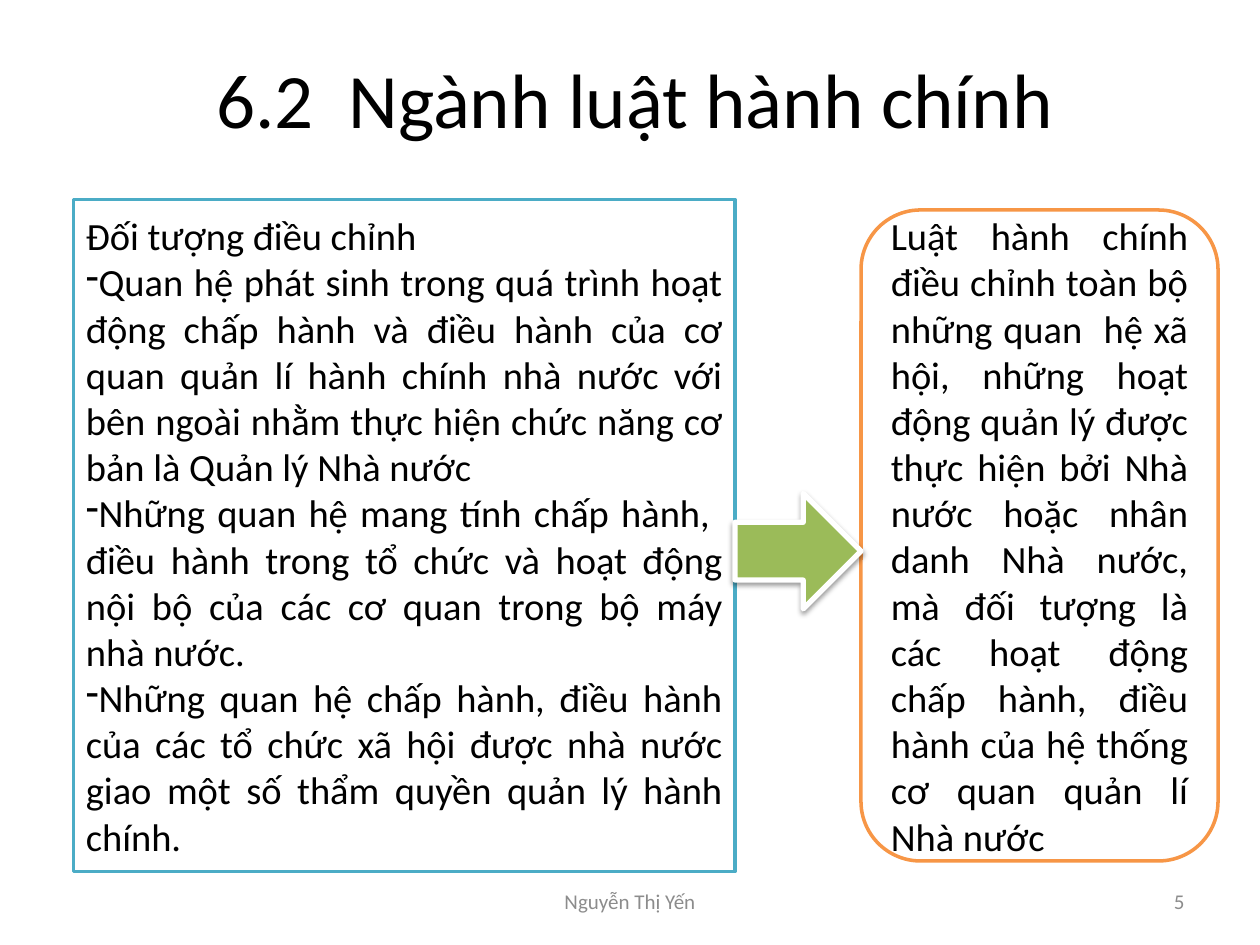
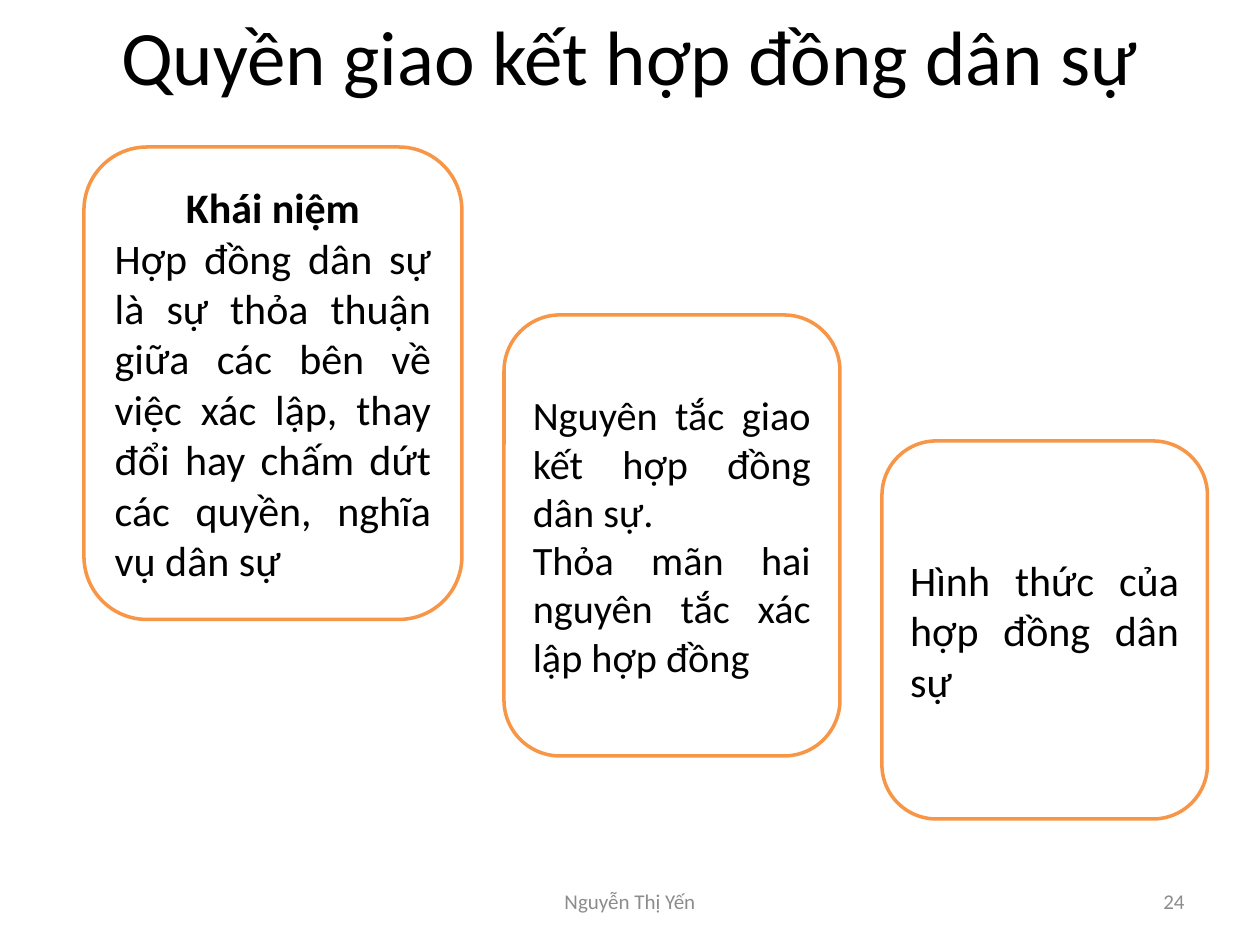
from dataclasses import dataclass

from pptx import Presentation
from pptx.dml.color import RGBColor
from pptx.enum.shapes import MSO_SHAPE
from pptx.enum.text import MSO_ANCHOR, PP_ALIGN
from pptx.oxml.ns import qn
from pptx.util import Inches, Pt
from lxml.etree import SubElement


@dataclass(frozen=True)
class Theme:
    font: str = "Calibri"
    text: str = "000000"
    muted: str = "8C8C8C"
    paper: str = "FFFFFF"
    teal: str = "4BACC6"
    orange: str = "F79646"
    green: str = "9BBB59"
    title_size: int = 44
    large_size: int = 24
    medium_size: int = 23
    body_size: int = 22
    footer_size: int = 12
    border: int = 2
    arrow_border: int = 3


THEME = Theme()
WIDTH, HEIGHT = Inches(10), Inches(7.5)
COLUMNS, ROWS = 120, 90
AUTHOR = "Nguyễn Thị Yến"


def place(left, top, width, height):
    """Turn grid columns and rows into slide lengths."""
    column, row = WIDTH / COLUMNS, HEIGHT / ROWS
    return (round(left * column), round(top * row),
            round(width * column), round(height * row))


def fill_text(box, lines, size, align, color=THEME.text):
    frame = box.text_frame
    frame.word_wrap = True
    frame.vertical_anchor = MSO_ANCHOR.MIDDLE
    frame.text = "\n".join(lines)
    for para in frame.paragraphs:
        para.alignment = align
        for span in para.runs:
            span.font.name = THEME.font
            span.font.size = Pt(size)
            span.font.color.rgb = RGBColor.from_string(color)


def add_label(page, area, text, size, align, color=THEME.text):
    box = page.shapes.add_textbox(*place(*area))
    fill_text(box, [text], size, align, color)


def add_outlined(page, kind, area, fill, line, weight):
    shape = page.shapes.add_shape(kind, *place(*area))
    shape.shadow.inherit = False
    shape.fill.solid()
    shape.fill.fore_color.rgb = RGBColor.from_string(fill)
    shape.line.color.rgb = RGBColor.from_string(line)
    shape.line.width = Pt(weight)
    return shape


def add_panel(page, area, lines, size, kind=MSO_SHAPE.ROUNDED_RECTANGLE, line=THEME.orange):
    panel = add_outlined(page, kind, area, THEME.paper, line, THEME.border)
    fill_text(panel, lines, size, PP_ALIGN.JUSTIFY)
    return panel


def add_dash(para):
    properties = para._p.get_or_add_pPr()
    properties.set("marL", "0")
    properties.set("indent", "0")
    SubElement(properties, qn("a:buFontTx"))
    SubElement(properties, qn("a:buChar"), char="-")


def add_drop_shadow(shape):
    effects = shape._element.spPr.find(qn("a:effectLst"))
    shadow = SubElement(effects, qn("a:outerShdw"), blurRad=str(Pt(3.1)),
                        dist=str(Pt(1.6)), dir="5400000", rotWithShape="0")
    color = SubElement(shadow, qn("a:srgbClr"), val=THEME.text)
    SubElement(color, qn("a:alpha"), val="38000")


def add_page(deck, title, title_area, number):
    """Add a blank page with the shared title style and footer."""
    page = deck.slides.add_slide(deck.slide_layouts[6])
    add_label(page, title_area, title, THEME.title_size, PP_ALIGN.CENTER)
    footer_top, footer_height = 83.4, 4.8
    add_label(page, (41, footer_top, 38, footer_height), AUTHOR,
              THEME.footer_size, PP_ALIGN.CENTER, THEME.muted)
    add_label(page, (86, footer_top, 28, footer_height), str(number),
              THEME.footer_size, PP_ALIGN.RIGHT, THEME.muted)
    return page


def add_subject_and_scope(page, area, subject, scope):
    """Lay out the subject panel, an arrow and the scope panel across the area."""
    left, top, width, height = area
    subject_width, arrow_width, arrow_height = 63, 12, 11
    arrow_left = left + subject_width
    scope_left = arrow_left + arrow_width
    panel = add_panel(page, (left, top, subject_width, height), subject,
                      THEME.body_size, MSO_SHAPE.RECTANGLE, THEME.teal)
    for para in panel.text_frame.paragraphs[1:]:
        add_dash(para)
    add_panel(page, (scope_left, top + 1, left + width - scope_left, height - 2),
              [scope], THEME.body_size)
    arrow = add_outlined(page, MSO_SHAPE.RIGHT_ARROW,
                         (arrow_left, top + 28, arrow_width, arrow_height),
                         THEME.green, THEME.paper, THEME.arrow_border)
    add_drop_shadow(arrow)


def add_staircase(page, left, gap, steps):
    """Place the panels left to right with an equal gap, each on its own row."""
    panels = []
    for top, width, height, size, lines in steps:
        panels.append(add_panel(page, (left, top, width, height), lines, size))
        left += width + gap
    return panels


def add_administrative_law(deck):
    page = add_page(deck, "6.2  Ngành luật hành chính", (6, 3.6, 109, 11.4), 5)
    subject = [
        "Đối tượng điều chỉnh",
        "Quan hệ phát sinh trong quá trình hoạt động chấp hành và điều hành của cơ quan "
        "quản lí hành chính nhà nước với bên ngoài nhằm thực hiện chức năng cơ bản là "
        "Quản lý Nhà nước",
        "Những quan hệ mang tính chấp hành,  điều hành trong tổ chức và hoạt động nội bộ "
        "của các cơ quan trong bộ máy nhà nước.",
        "Những quan hệ chấp hành, điều hành của các tổ chức xã hội được nhà nước giao "
        "một số thẩm quyền quản lý hành chính.",
    ]
    scope = (
        "Luật hành chính điều chỉnh toàn bộ những quan  hệ xã hội, những hoạt động quản lý "
        "được thực hiện bởi Nhà nước hoặc nhân danh Nhà nước, mà đối tượng là các hoạt động "
        "chấp hành, điều hành của hệ thống cơ quan quản lí Nhà nước"
    )
    add_subject_and_scope(page, (7, 19, 109, 64), subject, scope)


def add_civil_contract(deck):
    page = add_page(deck, "Quyền giao kết hợp đồng dân sự", (6, 0, 108, 10.4), 24)
    concept = [
        "Khái niệm",
        "Hợp đồng dân sự là sự thỏa thuận giữa các bên về việc xác lập, thay đổi hay "
        "chấm dứt các quyền, nghĩa vụ dân sự",
    ]
    principles = [
        "Nguyên tắc giao kết hợp đồng dân sự.",
        "Thỏa mãn hai nguyên tắc xác lập hợp đồng",
    ]
    panels = add_staircase(page, 8, 4, [
        (14, 36, 45, THEME.large_size, concept),
        (30, 32, 42, THEME.medium_size, principles),
        (42, 31, 36, THEME.large_size, ["Hình thức của hợp đồng dân sự"]),
    ])
    heading = panels[0].text_frame.paragraphs[0]
    heading.alignment = PP_ALIGN.CENTER
    heading.runs[0].font.bold = True


def main():
    deck = Presentation()
    deck.slide_width, deck.slide_height = WIDTH, HEIGHT
    add_administrative_law(deck)
    add_civil_contract(deck)
    deck.save("out.pptx")


if __name__ == "__main__":
    main()
